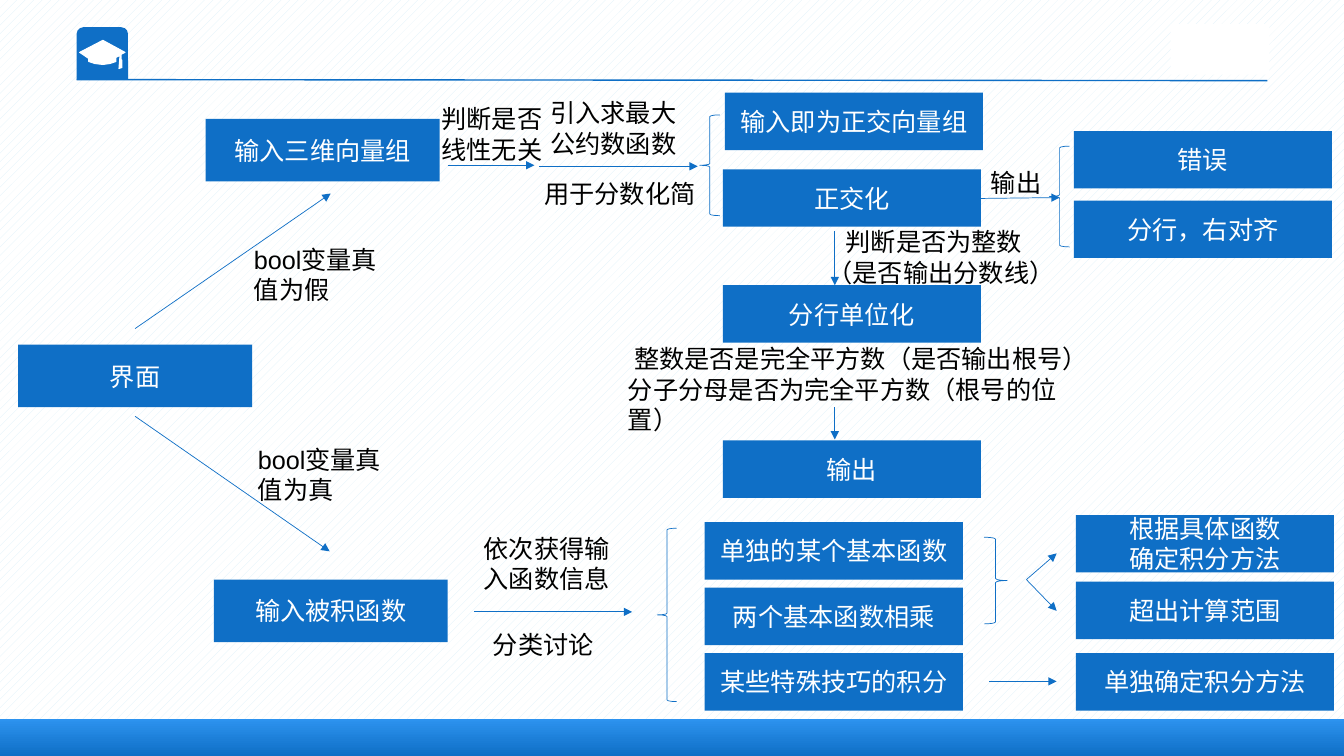
from lxml import etree
from pptx import Presentation
from pptx.dml.color import RGBColor
from pptx.enum.dml import MSO_PATTERN
from pptx.enum.shapes import MSO_CONNECTOR, MSO_SHAPE as SHAPE
from pptx.enum.text import MSO_ANCHOR as ANCHOR, PP_ALIGN as ALIGN
from pptx.oxml.ns import qn
from pptx.util import Inches, Pt

BLUE = RGBColor(0x0F, 0x6F, 0xC6)
LIGHT_BLUE = RGBColor(0x2D, 0x93, 0xEF)
PALE_BLUE = RGBColor(0xDB, 0xEF, 0xF9)
WHITE = RGBColor(0xFF, 0xFF, 0xFF)
BLACK = RGBColor(0, 0, 0)

prs = Presentation()
prs.slide_width, prs.slide_height = Inches(13.33), Inches(7.5)
slide = prs.slides.add_slide(prs.slide_layouts[6])
shapes = slide.shapes


def add_block(kind, left, top, width, height, color=None):
    """Filled block without outline, or an unfilled outline if no colour is given."""
    block = shapes.add_shape(kind, *map(Inches, (left, top, width, height)))
    block.shadow.inherit = False
    if color is None:
        block.fill.background()
        block.line.color.rgb = BLUE
        block.line.width = Pt(0.5)
    else:
        block.fill.solid()
        block.fill.fore_color.rgb = color
        block.line.fill.background()
    return block


def write_lines(frame, lines, color, align):
    frame.word_wrap = True
    for number, line in enumerate(lines.split("\n")):
        paragraph = frame.paragraphs[0] if number == 0 else frame.add_paragraph()
        paragraph.alignment = align
        run = paragraph.add_run()
        run.text = line
        run.font.name = "Arial"
        run.font.size = Pt(18)
        run.font.color.rgb = color


# Hatched background
background = add_block(SHAPE.RECTANGLE, 0, 0, 13.33, 7.5, WHITE)
background.fill.patterned()
background.fill.pattern = MSO_PATTERN.PERCENT_20
background.fill.fore_color.rgb = PALE_BLUE
background.fill.back_color.rgb = WHITE

# Header badge, footer band and blank corner
badge = add_block(SHAPE.ROUND_2_SAME_RECTANGLE, 0.76, 0.27, 0.51, 0.52, BLUE)
badge.adjustments[0] = 0.13
footer = add_block(SHAPE.RECTANGLE, 0, 7.13, 13.33, 0.37, BLUE)
footer.fill.gradient()
footer.fill.gradient_angle = 90
for stop, color in zip(footer.fill.gradient_stops, (BLUE, LIGHT_BLUE)):
    stop.color.rgb = color
add_block(SHAPE.RECTANGLE, 11.61, 0.24, 0.98, 0.5, WHITE)

# Graduation cap with its tassel
cap_outline = [(0.79, 0.52), (1.02, 0.4), (1.24, 0.52), (1.2, 0.54), (1.2, 0.59),
               (1.21, 0.6), (1.21, 0.67), (1.18, 0.68), (1.19, 0.55), (1.15, 0.57),
               (1.15, 0.61), (1.09, 0.63), (1.02, 0.64), (0.94, 0.63), (0.88, 0.61),
               (0.88, 0.58)]
cap_points = [(Inches(x), Inches(y)) for x, y in cap_outline]
cap_builder = shapes.build_freeform(*cap_points[0])
cap_builder.add_line_segments(cap_points[1:], close=True)
cap = cap_builder.convert_to_shape()
cap.shadow.inherit = False
cap.fill.solid()
cap.fill.fore_color.rgb = WHITE
cap.line.color.rgb = WHITE
cap.line.width = Pt(0.75)

# Steps of the flow: column width and height, then left, top and wording
steps = {
    (2.32, 0.62): [
        (0.18, 3.42, "界面"),
        (2.04, 1.18, "输入三维向量组"),
        (2.12, 5.75, "输入被积函数"),
    ],
    (2.56, 0.57): [
        (7.19, 0.92, "输入即为正交向量组"),
        (7.17, 1.68, "正交化"),
        (7.17, 2.83, "分行单位化"),
        (7.17, 4.37, "输出"),
        (10.65, 1.3, "错误"),
        (10.65, 1.99, "分行，右对齐"),
        (6.99, 5.18, "单独的某个基本函数"),
        (6.99, 5.83, "两个基本函数相乘"),
        (6.99, 6.48, "某些特殊技巧的积分"),
        (10.67, 5.11, "根据具体函数\n确定积分方法"),
        (10.67, 5.77, "超出计算范围"),
        (10.67, 6.48, "单独确定积分方法"),
    ],
}
for size, column in steps.items():
    for left, top, wording in column:
        step = add_block(SHAPE.RECTANGLE, left, top, *size, BLUE)
        step.text_frame.vertical_anchor = ANCHOR.MIDDLE
        write_lines(step.text_frame, wording, WHITE, ALIGN.CENTER)

# Braces that group the branches
for kind, *place in [
    (SHAPE.LEFT_BRACE, 6.94, 1.14, 0.2, 1),
    (SHAPE.LEFT_BRACE, 10.41, 1.45, 0.2, 1),
    (SHAPE.LEFT_BRACE, 6.52, 5.24, 0.19, 1.72),
    (SHAPE.RIGHT_BRACE, 9.76, 5.33, 0.23, 0.86),
]:
    add_block(kind, *place)

# Header rule (1 pt, plain) and flow arrows (0.5 pt)
header_rule = (0.76, 0.79, 12.57, 0.8)
arrows = [
    (1.34, 3.26, 3.28, 1.92),
    (1.34, 4.13, 3.27, 5.47),
    (4.44, 1.64, 5.3, 1.64),
    (5.35, 1.65, 6.92, 1.65),
    (9.64, 1.97, 10.51, 1.96),
    (8.28, 2.29, 8.28, 2.83),
    (8.28, 4.04, 8.28, 4.36),
    (4.7, 6.07, 6.27, 6.07),
    (10.18, 5.75, 10.48, 5.49),
    (10.18, 5.75, 10.48, 6.06),
    (9.81, 6.76, 10.48, 6.76),
]
for ends in [header_rule, *arrows]:
    link = shapes.add_connector(MSO_CONNECTOR.STRAIGHT, *map(Inches, ends))
    link.line.color.rgb = BLUE
    link.line.width = Pt(1 if ends == header_rule else 0.5)
    properties = link._element.spPr
    if ends != header_rule:
        etree.SubElement(properties.find(qn("a:ln")), qn("a:tailEnd"), type="triangle")
    etree.SubElement(properties, qn("a:effectLst"))

# Notes beside the arrows; the last value indents the first line
for left, top, width, height, wording, indent in [
    (2.42, 2.37, 1.57, 0.71, "bool变量真值为假", 0),
    (2.46, 4.36, 1.57, 0.71, "bool变量真值为真", 0),
    (4.28, 0.98, 1.27, 0.71, "判断是否线性无关", 0),
    (5.36, 0.92, 1.59, 0.71, "引入求最大公约数函数", 0),
    (5.3, 1.72, 1.73, 0.4, "用于分数化简", 0),
    (9.73, 1.61, 0.74, 0.4, "输出", 0),
    (8.11, 2.2, 2.56, 0.71, "判断是否为整数\n（是否输出分数线）", 0.18),
    (6.13, 3.36, 4.85, 0.71,
     "整数是否是完全平方数（是否输出根号）\n分子分母是否为完全平方数（根号的位置）", 0.06),
    (4.7, 5.24, 1.57, 0.71, "依次获得输入函数信息", 0),
    (4.79, 6.19, 1.73, 0.4, "分类讨论", 0),
]:
    note = shapes.add_textbox(*map(Inches, (left, top, width, height)))
    write_lines(note.text_frame, wording, BLACK, ALIGN.LEFT)
    if indent:
        first_line = note.text_frame.paragraphs[0]._p.get_or_add_pPr()
        first_line.set("indent", str(Inches(indent)))

prs.save("out.pptx")
